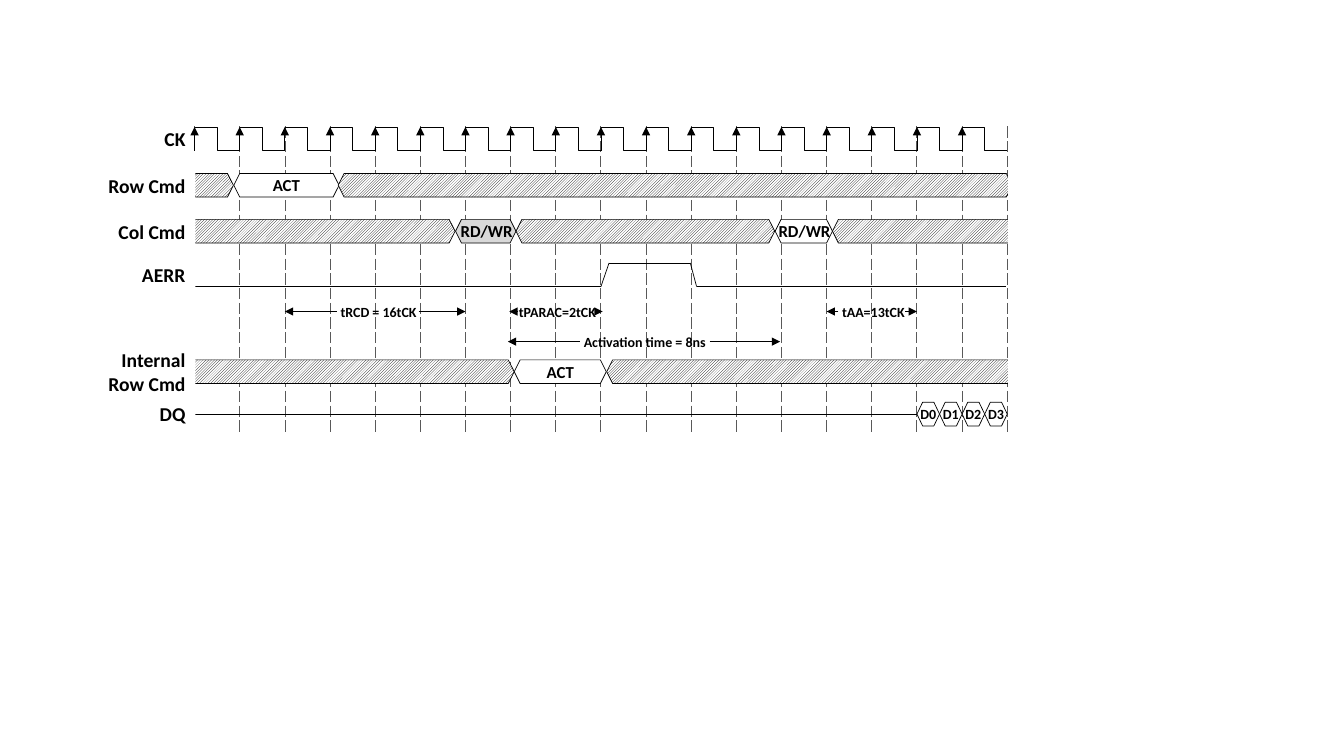
import pptx
import pptx.util
import pptx.dml.color
import pptx.enum.dml
import pptx.enum.shapes
import pptx.enum.text
import pptx.oxml
import pptx.oxml.ns
from dataclasses import dataclass
from lxml import etree

SHAPE = pptx.enum.shapes.MSO_SHAPE
LINE = pptx.enum.shapes.MSO_CONNECTOR
ALIGN = pptx.enum.text.PP_ALIGN
qn = pptx.oxml.ns.qn


@dataclass(frozen=True)
class Theme:
    font: str = "Calibri"
    ink: str = "000000"
    paper: str = "FFFFFF"
    shade: str = "D9D9D9"
    guide: str = "595959"
    name_pt: int = 14
    command_pt: int = 12
    note_pt: int = 10
    line_pt: float = 0.5


T = Theme()
CYCLES = 18
LEFT, TOP = 1.93, 1.26
COL, ROW = 8.06 / CYCLES, 0.235   # one clock cycle, one pulse height
HATCH = "hatch"

# Top of each signal, in rows
CK, ROW_CMD, COL_CMD, AERR, INTERNAL, DQ = 0, 1.96, 3.9, 5.74, 9.83, 11.62


def x(col):
    return pptx.util.Inches(LEFT + col * COL)


def y(row):
    return pptx.util.Inches(TOP + row * ROW)


def rgb(value):
    return pptx.dml.color.RGBColor.from_string(value)


def box(c0, r0, c1, r1):
    return x(c0), y(r0), x(c1) - x(c0), y(r1) - y(r0)


def write(tf, text, size, align):
    tf.text = text
    tf.vertical_anchor = pptx.enum.text.MSO_ANCHOR.MIDDLE
    p = tf.paragraphs[0]
    p.alignment = align
    font = p.runs[0].font
    font.name, font.size, font.bold = T.font, pptx.util.Pt(size), True
    font.color.rgb = rgb(T.ink)


def label(s, text, c0, c1, middle, size, align=ALIGN.CENTER, rows=1.15):
    sp = s.shapes.add_textbox(*box(c0, middle - rows / 2, c1, middle + rows / 2))
    tf = sp.text_frame
    tf.word_wrap = True
    tf.auto_size = pptx.enum.text.MSO_AUTO_SIZE.SHAPE_TO_FIT_TEXT
    write(tf, text, size, align)


def wire(s, start, end, kind=LINE.STRAIGHT, arrow=False):
    sp = s.shapes.add_connector(kind, x(start[0]), y(start[1]), x(end[0]), y(end[1]))
    sp.line.color.rgb = rgb(T.ink)
    sp.line.width = pptx.util.Pt(T.line_pt)
    if arrow:
        etree.SubElement(sp.line._get_or_add_ln(), qn("a:tailEnd"), type="triangle")
    etree.SubElement(sp._element.spPr, qn("a:effectLst"))


def shape(s, kind, c0, r0, c1, r1, fill):
    sp = s.shapes.add_shape(kind, *box(c0, r0, c1, r1))
    sp.shadow.inherit = False
    if fill == HATCH:
        sp.fill.patterned()
        sp.fill.pattern = pptx.enum.dml.MSO_PATTERN.LIGHT_UPWARD_DIAGONAL
        sp.fill.fore_color.rgb = rgb(T.ink)
        sp.fill.back_color.rgb = rgb(T.paper)
    else:
        sp.fill.solid()
        sp.fill.fore_color.rgb = rgb(fill)
    return sp


def bus(s, row, c0, c1, fill=T.paper, text=None):
    sp = shape(s, SHAPE.HEXAGON, c0, row, c1, row + 1, fill)
    sp.line.color.rgb = rgb(T.ink)
    sp.line.width = pptx.util.Pt(T.line_pt)
    if text:
        write(sp.text_frame, text, T.command_pt, ALIGN.CENTER)


def mask(s, c0, r0, c1, r1):
    shape(s, SHAPE.RECTANGLE, c0, r0, c1, r1, T.paper).line.fill.background()


def span(s, text, row, outer, inner, text_box):
    for start, end in zip(inner, outer):
        wire(s, (start, row), (end, row), arrow=True)
    label(s, text, *text_box, row, T.note_pt)


def border(tcPr, index, side, color, width, dash):
    ln = pptx.oxml.parse_xml(
        f'<a:{side} xmlns:a="http://schemas.openxmlformats.org/drawingml/2006/main" '
        f'w="{int(pptx.util.Pt(width))}"><a:solidFill><a:srgbClr val="{color}"/>'
        f'</a:solidFill><a:prstDash val="{dash}"/></a:{side}>')
    tcPr.insert(index, ln)


def cycle_guides(s):
    table = s.shapes.add_table(1, CYCLES, *box(0, 0, CYCLES, 12.85)).table
    table.first_row = table.horz_banding = False
    sides = [("lnL", T.guide, T.line_pt, "dash"), ("lnR", T.guide, T.line_pt, "dash"),
             ("lnT", T.paper, 1, "solid"), ("lnB", T.paper, 3, "solid")]
    for i, column in enumerate(table.columns):
        column.width = x(i + 1) - x(i)
        cell = table.cell(0, i)
        cell.fill.background()
        for index, side in enumerate(sides):
            border(cell._tc.get_or_add_tcPr(), index, *side)


def clock(s):
    for c in range(CYCLES):
        wire(s, (c, CK), (c + 1, CK + 1), LINE.ELBOW)
        if c:
            wire(s, (c, CK + 1), (c, CK), arrow=True)


def main():
    prs = pptx.Presentation()
    prs.slide_width, prs.slide_height = pptx.util.Inches(13.33), pptx.util.Inches(7.5)
    s = prs.slides.add_slide(prs.slide_layouts[6])

    cycle_guides(s)
    clock(s)

    # Command buses
    for row, c0, c1, fill, text in [
            (ROW_CMD, 0.87, 3.2, T.paper, "ACT"),
            (ROW_CMD, -0.11, 0.86, HATCH, None),
            (ROW_CMD, 3.18, 18.11, HATCH, None),
            (INTERNAL, -0.18, 7.08, HATCH, None),
            (INTERNAL, 9.13, 18.17, HATCH, None),
            (INTERNAL, 7.08, 9.12, T.paper, "ACT"),
            (COL_CMD, -0.15, 5.77, HATCH, None),
            (COL_CMD, 5.78, 7.12, T.shade, None),
            (COL_CMD, 7.12, 12.85, HATCH, None),
            (COL_CMD, 12.86, 14.13, T.paper, None),
            (COL_CMD, 14.13, 18.15, HATCH, None)]:
        bus(s, row, c0, c1, fill, text)
    for middle in (6.47, 13.51):
        label(s, "RD/WR", middle - 0.9, middle + 0.9, COL_CMD + 0.5,
              T.command_pt, rows=1.28)

    # Error pulse
    low = AERR + 1
    pulse = [(0, low), (9, low), (9.18, AERR), (10.98, AERR), (11.12, low), (17.98, low)]
    for start, end in zip(pulse, pulse[1:]):
        wire(s, start, end)

    # Timing spans
    span(s, "tRCD = 16tCK", 7.79, (2, 6), (3.15, 4.96), (2.84, 5.31))
    span(s, "tPARAC=2tCK", 7.79, (6.97, 9.04), (7.15, 8.86), (6.74, 9.33))
    span(s, "tAA=13tCK", 7.79, (14, 16), (14.26, 15.74), (14.06, 16.01))
    span(s, "Activation time = 8ns", 9.06, (6.94, 12.97), (8.53, 11.41), (8.35, 11.59))

    # Data line, and masks that trim the buses at both ends
    wire(s, (0, DQ + 0.5), (16, DQ + 0.5))
    mask(s, -2.68, 0.04, 0.02, 13.87)
    mask(s, 18.02, 0.2, 18.65, 14.7)
    wire(s, (0, CK + 1), (0, CK), arrow=True)

    # Data burst
    for i in range(4):
        start = 16 + i / 2
        bus(s, DQ, start, start + 0.5)
    for i in range(4):
        middle = 16.25 + i / 2
        label(s, f"D{i}", middle - 0.42, middle + 0.42, DQ + 0.5, T.note_pt)

    # Signal names
    for text, row, width, rows in [
            ("CK", CK, 1.43, 1.45), ("Row Cmd", ROW_CMD, 2.37, 1.45),
            ("Col Cmd", COL_CMD, 2.19, 1.45), ("AERR", AERR, 1.79, 1.45),
            ("Internal Row Cmd", INTERNAL, 2.19, 2.43), ("DQ", DQ, 1.79, 1.45)]:
        label(s, text, 0.02 - width, 0.02, row + 0.5, T.name_pt, ALIGN.RIGHT, rows)

    prs.save("out.pptx")


main()
